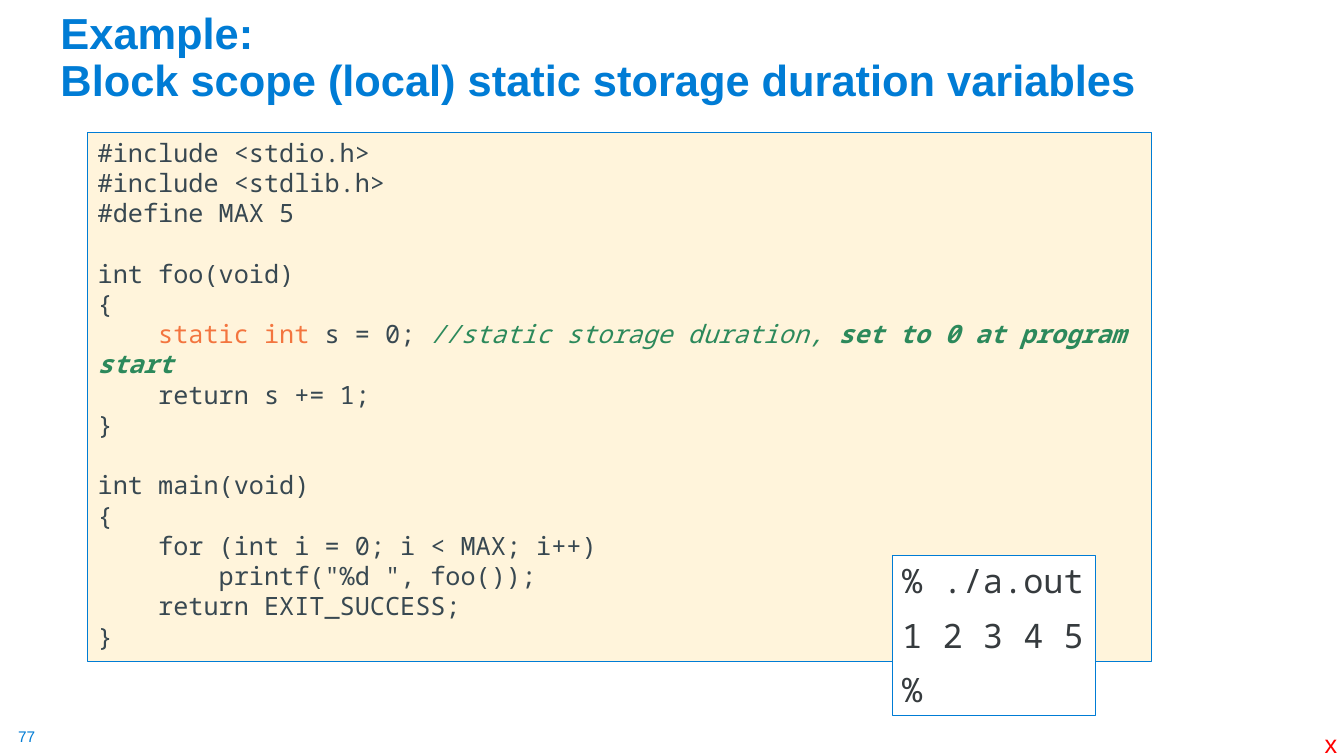
from pptx import Presentation
from pptx.dml.color import RGBColor
from pptx.enum.shapes import MSO_SHAPE
from pptx.enum.text import MSO_ANCHOR, MSO_AUTO_SIZE, PP_ALIGN
from pptx.util import Inches, Pt

RECTANGLE = MSO_SHAPE.RECTANGLE
TOP, BOTTOM = MSO_ANCHOR.TOP, MSO_ANCHOR.BOTTOM
NO_AUTOFIT = MSO_AUTO_SIZE.NONE
LEFT = PP_ALIGN.LEFT

COLORS = {
    "blue": "007CD5",
    "red": "FF0000",
    "cream": "FFF4DB",
    "white": "FFFFFF",
    "code": "384851",
    "keyword": "F3753F",
    "comment": "2C895B",
    "output": "363B3E",
}
SANS, MONO = "Arial", "Noto Sans Mono"
CODE_SIZE, OUTPUT_SIZE = 18, 24
BLANK_LINE = Pt(21.6)

# Each paragraph is a list of (text, color, bold, italic) runs
STATIC_LINE = [
    ("    ", "comment", False, True),
    ("static int", "keyword", False, False),
    (" s = 0;", "code", False, False),
    (" //static storage duration, ", "comment", False, True),
    ("set to 0 at program start", "comment", True, True),
]
# Blocks of the program, separated by one blank line
PROGRAM = [
    ["#include <stdio.h>", "#include <stdlib.h>", "#define MAX 5"],
    ["int foo(void)", "{", STATIC_LINE, "    return s += 1;", "}"],
    [
        "int main(void)",
        "{",
        "    for (int i = 0; i < MAX; i++)",
        '        printf("%d ", foo());',
        "    return EXIT_SUCCESS;",
        "}",
    ],
]
OUTPUT = ["% ./a.out", "1 2 3 4 5", "%"]


def rgb(name):
    return RGBColor.from_string(COLORS[name])


def add_run(paragraph, text, font, size, color, bold=False, italic=False):
    run = paragraph.add_run()
    run.text = text
    run.font.name = font
    run.font.size = Pt(size)
    run.font.color.rgb = rgb(color)
    run.font.bold = bold
    run.font.italic = italic


def next_paragraph(frame, index):
    paragraph = frame.add_paragraph() if index else frame.paragraphs[0]
    paragraph.alignment = LEFT
    return paragraph


def add_panel(slide, box, fill):
    """Add an outlined rectangle and return its text frame."""
    shape = slide.shapes.add_shape(RECTANGLE, *map(Inches, box))
    shape.shadow.inherit = False
    shape.fill.solid()
    shape.fill.fore_color.rgb = rgb(fill)
    shape.line.color.rgb = rgb("blue")
    shape.line.width = Pt(0.75)
    frame = shape.text_frame
    frame.word_wrap = True
    frame.vertical_anchor = TOP
    return frame


def add_title(slide, box):
    title = slide.shapes.title
    title.left, title.top, title.width, title.height = map(Inches, box)
    frame = title.text_frame
    frame.auto_size = NO_AUTOFIT
    frame.word_wrap = True
    frame.vertical_anchor = BOTTOM
    paragraph = next_paragraph(frame, 0)
    paragraph.line_spacing = 0.9
    add_run(paragraph, "Example:", SANS, 31, "blue", bold=True)
    paragraph.add_line_break()
    add_run(paragraph, "Block scope (local) static storage duration variables",
            SANS, 31, "blue", bold=True)


def add_program(slide, box):
    frame = add_panel(slide, box, "cream")
    index = 0
    for block in PROGRAM:
        for line_number, line in enumerate(block):
            paragraph = next_paragraph(frame, index)
            if index and line_number == 0:
                paragraph.space_before = BLANK_LINE
            runs = [(line, "code", False, False)] if isinstance(line, str) else line
            for text, color, bold, italic in runs:
                add_run(paragraph, text, MONO, CODE_SIZE, color, bold, italic)
            index += 1


def add_output(slide, box):
    frame = add_panel(slide, box, "white")
    for index, line in enumerate(OUTPUT):
        paragraph = next_paragraph(frame, index)
        if index:
            paragraph.space_before = Pt(10)
        add_run(paragraph, line, MONO, OUTPUT_SIZE, "output")


def add_label(slide, box, text, size, color, margins=None):
    frame = slide.shapes.add_textbox(*map(Inches, box)).text_frame
    frame.word_wrap = False
    if margins is not None:
        frame.margin_left = frame.margin_right = Inches(margins)
        frame.margin_top = frame.margin_bottom = Inches(margins)
    add_run(next_paragraph(frame, 0), text, SANS, size, color)


def main():
    presentation = Presentation()
    presentation.slide_width = Inches(13.33)
    presentation.slide_height = Inches(7.5)
    slide = presentation.slides.add_slide(presentation.slide_layouts.get_by_name("Title Only"))

    # Heading
    add_title(slide, (0.5, 0.6, 11.19, 0.5))
    # Page number and corner mark
    add_label(slide, (0.18, 7.21, 0.19, 0.19), "77", 11, "blue", margins=0)
    add_label(slide, (13.04, 7.18, 0.33, 0.4), "x", 18, "red")
    # Program with its output on top
    add_program(slide, (0.87, 1.31, 10.55, 5.25))
    add_output(slide, (8.85, 5.51, 2.02, 1.59))

    presentation.save("out.pptx")


if __name__ == "__main__":
    main()
